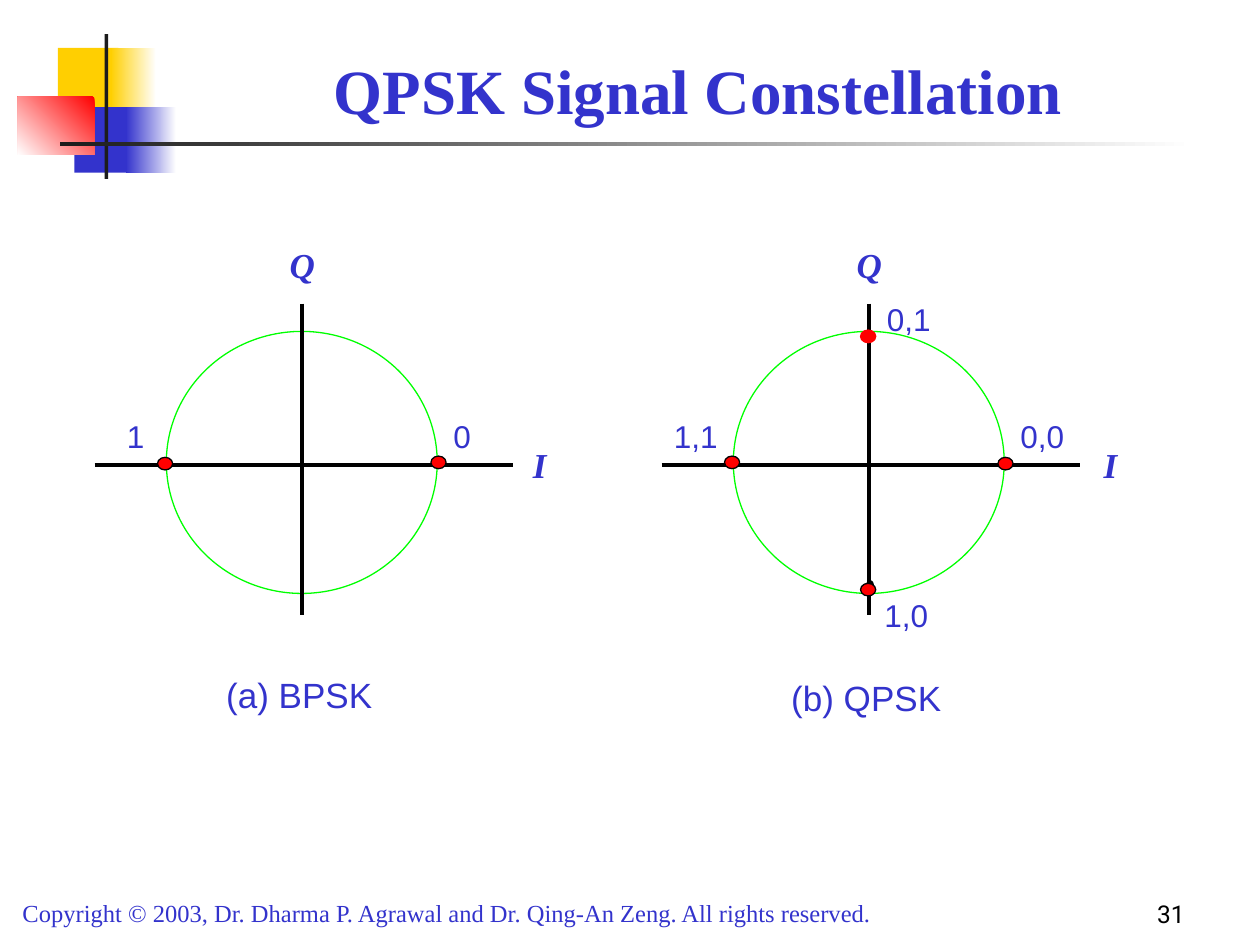
from pptx import Presentation
from pptx import util as u
from pptx.dml.color import RGBColor
from pptx.enum import shapes, text
from pptx.oxml.ns import qn
from lxml import etree

BLUE = RGBColor(0x33, 0x33, 0xCC)
YELLOW = RGBColor(0xFF, 0xCF, 0x01)
RED = RGBColor(0xFF, 0x00, 0x00)
GREEN = RGBColor(0x00, 0xFF, 0x00)
DARK = RGBColor(0x1C, 0x1C, 0x1C)
BLACK = RGBColor(0x00, 0x00, 0x00)
WHITE = RGBColor(0xFF, 0xFF, 0xFF)
SERIF, SANS = "Times New Roman", "Arial"
RECT, OVAL = shapes.MSO_SHAPE.RECTANGLE, shapes.MSO_SHAPE.OVAL

prs = Presentation()
prs.slide_width, prs.slide_height = u.Inches(10), u.Inches(7.5)
COL, ROW = prs.slide_width / 10, prs.slide_height / 7.5  # square grid cells
s = prs.slides.add_slide(prs.slide_layouts[6])


def add_shape(kind, x, y, w, h, colors, angle=0, line=None):
    """Draw a shape with one fill colour, or two for a gradient."""
    sp = s.shapes.add_shape(kind, int(x * COL), int(y * ROW), int(w * COL), int(h * ROW))
    sp.shadow.inherit = False
    if len(colors) == 1:
        sp.fill.solid()
        sp.fill.fore_color.rgb = colors[0]
    else:
        sp.fill.gradient()
        sp.fill.gradient_angle = angle
        for stop, color in zip(sp.fill.gradient_stops, colors):
            stop.color.rgb = color
    if line is None:
        sp.line.fill.background()
    else:
        sp.line.color.rgb = line
        sp.line.width = u.Pt(0.75)


def add_text(words, x, y, w, h, size=18, font=SANS, color=BLUE, bold=False, italic=False,
             align=text.PP_ALIGN.LEFT, anchor=text.MSO_ANCHOR.TOP, wrap=False):
    tb = s.shapes.add_textbox(int(x * COL), int(y * ROW), int(w * COL), int(h * ROW))
    tf = tb.text_frame
    tf.word_wrap, tf.vertical_anchor = wrap, anchor
    p = tf.paragraphs[0]
    p.alignment = align
    r = p.add_run()
    r.text = words
    r.font.size, r.font.name, r.font.color.rgb = u.Pt(size), font, color
    r.font.bold, r.font.italic = bold, italic


# Corner ornament and rule
for x, y, w, h, colors, angle in [
    (0.46, 0.38, 0.48, 0.52, [YELLOW], 0),
    (0.88, 0.38, 0.36, 0.52, [WHITE, YELLOW], 180),
    (0.59, 0.85, 0.46, 0.52, [BLUE], 0),
    (1.00, 0.85, 0.40, 0.52, [WHITE, BLUE], 180),
    (0.14, 0.77, 0.61, 0.46, [RED, WHITE], 225),
    (0.83, 0.27, 0.03, 1.15, [DARK], 0),
    (0.48, 1.13, 9.00, 0.03, [WHITE, DARK], 180),
]:
    add_shape(RECT, x, y, w, h, colors, angle)

# Title
add_text("QPSK Signal Constellation", 1.5, 0.25, 8.08, 0.92, size=36, font=SERIF, bold=True,
         align=text.PP_ALIGN.CENTER, anchor=text.MSO_ANCHOR.MIDDLE, wrap=True)

# Constellations: left edge, I label offset, caption and its top,
# point labels (offset, top, width), points (offset, top, outline)
panels = [
    (0.75, 3.38, "(a) BPSK", 5.30,
     [("0", 2.75, 3.26, 0.34), ("1", 0.16, 3.26, 0.34)],
     [(2.67, 3.62, BLACK), (0.50, 3.63, BLACK)]),
    (5.25, 3.41, "(b) QPSK", 5.32,
     [("0,0", 2.75, 3.26, 0.55), ("1,1", 0, 3.26, 0.55),
      ("0,1", 1.69, 2.33, 0.55), ("1,0", 1.67, 4.68, 0.55)],
     [(0.50, 3.62, BLACK), (1.58, 2.62, RED), (1.58, 4.63, BLACK), (2.67, 3.63, BLACK)]),
]
for left, i_dx, caption, caption_y, labels, points in panels:
    # Circle and axes
    add_shape(OVAL, left + 0.57, 2.63, 2.15, 2.08, [WHITE], line=GREEN)
    for x1, y1, x2, y2 in [(0, 3.69, 3.32, 3.69), (1.65, 2.41, 1.65, 4.88)]:
        axis = s.shapes.add_connector(shapes.MSO_CONNECTOR.STRAIGHT,
                                      int((left + x1) * COL), int(y1 * ROW),
                                      int((left + x2) * COL), int(y2 * ROW))
        axis.line.color.rgb, axis.line.width = BLACK, u.Pt(2.25)
        etree.SubElement(axis._element.spPr, qn("a:effectLst"))
    for name, dx, y, w in [("Q", 1.45, 1.88, 0.4), ("I", i_dx, 3.47, 0.31)]:
        add_text(name, left + dx, y, w, 0.44, size=20, font=SERIF, bold=True, italic=True)

    # Signal points
    if len(points) == 4:
        add_shape(OVAL, left + 1.63, 4.61, 0.05, 0.06, [BLACK], line=BLACK)
    for dx, y, outline in points:
        add_shape(OVAL, left + dx, y, 0.12, 0.1, [RED], line=outline)
    for bits, dx, y, w in labels:
        add_text(bits, left + dx, y, w, 0.4)
    add_text(caption, left + 0.75, caption_y, 1.75, 0.44, size=20,
             align=text.PP_ALIGN.CENTER, wrap=True)

# Footer
add_text("Copyright © 2003, Dr. Dharma P. Agrawal and Dr. Qing-An Zeng. All rights reserved.",
         0.08, 7.08, 7.58, 0.34, size=14, font=SERIF, wrap=True)
add_text("31", 7.42, 6.92, 2.08, 0.5, size=14, font="Roboto", color=BLACK,
         align=text.PP_ALIGN.RIGHT, anchor=text.MSO_ANCHOR.BOTTOM, wrap=True)

prs.save("out.pptx")
